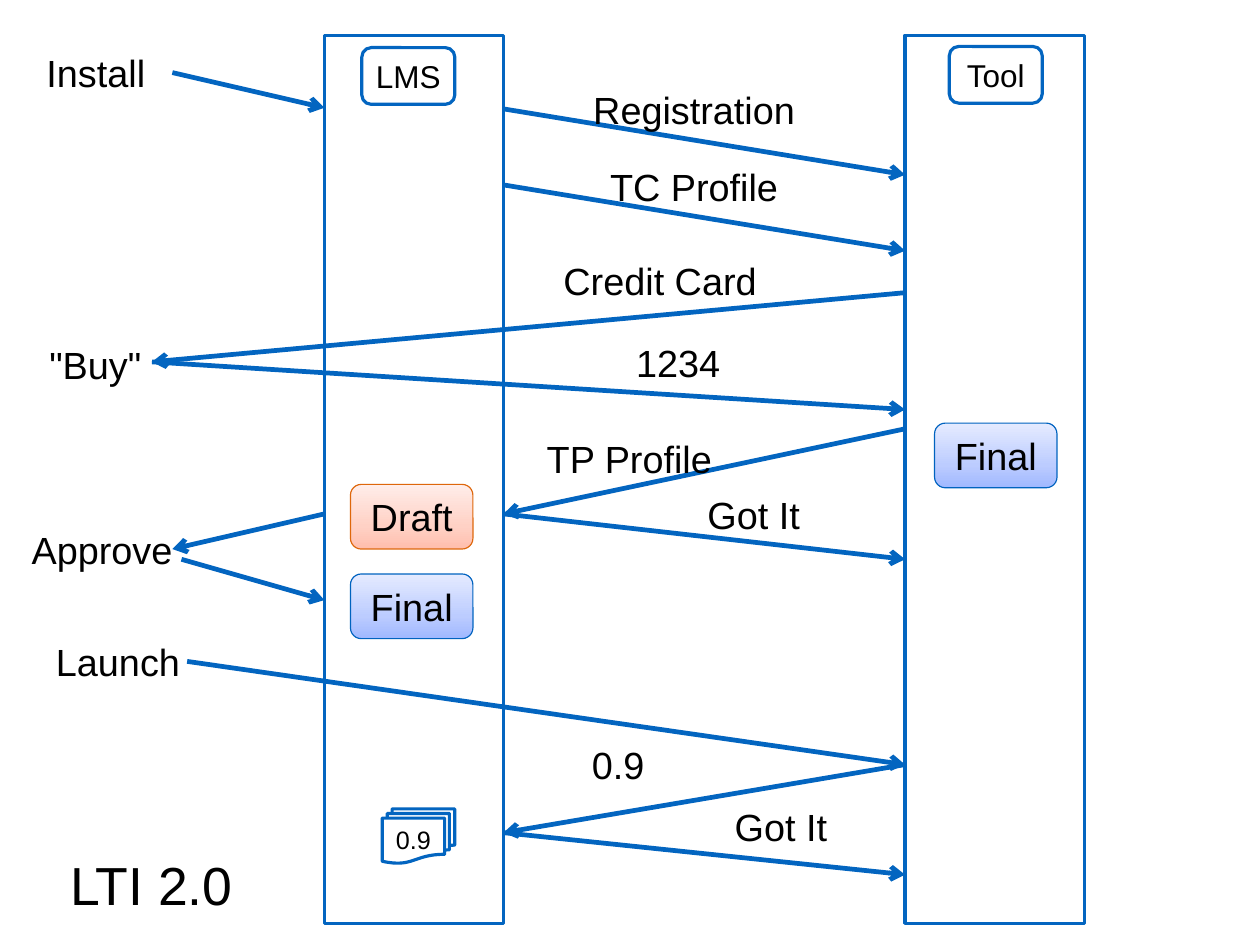
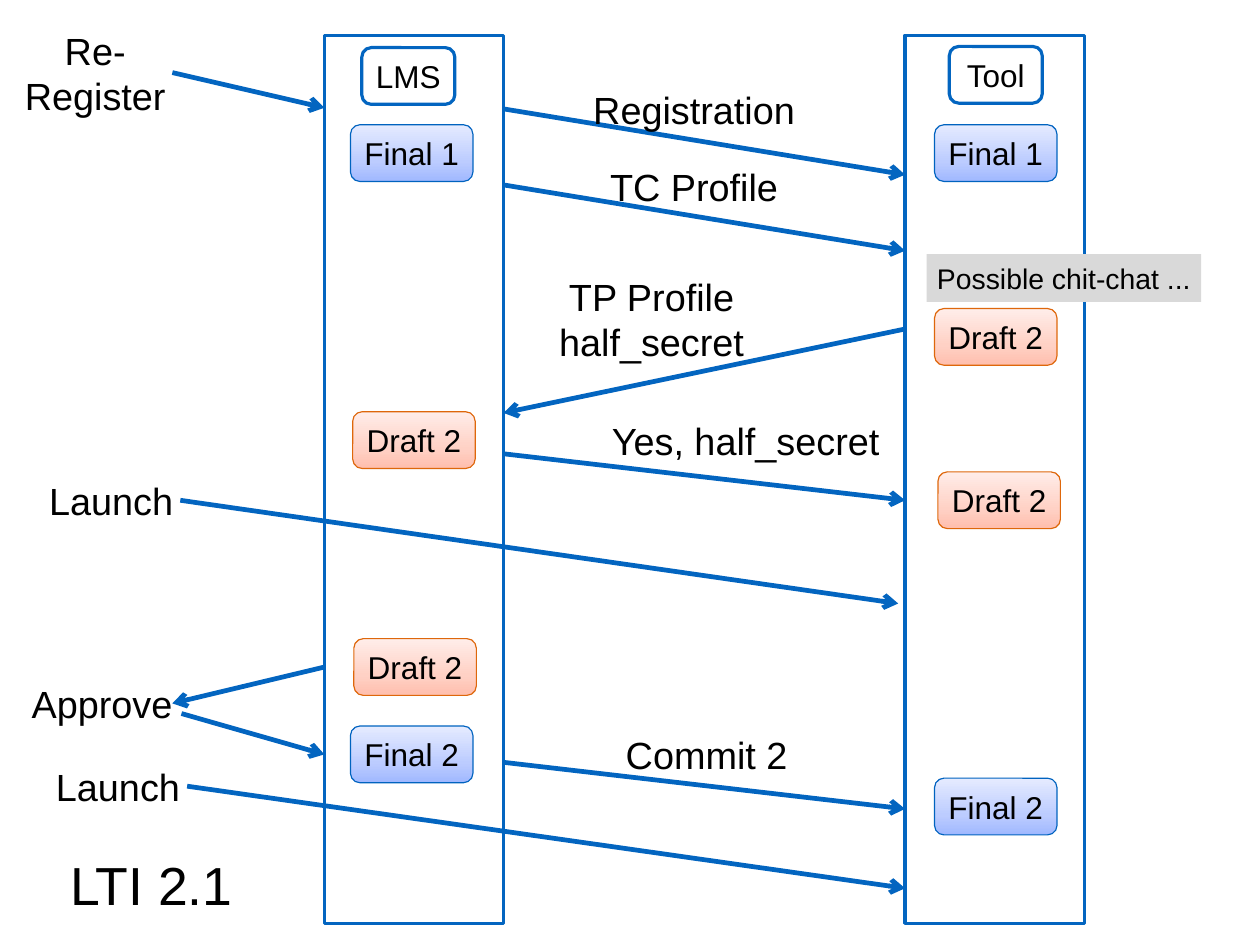
from dataclasses import dataclass
from typing import Optional

from lxml import etree
from pptx import Presentation
from pptx import util as u
from pptx.dml import color
from pptx.enum import shapes, text
from pptx.oxml import ns

COLORS = {
    "white": "FFFFFF",
    "black": "000000",
    "blue": "0365C0",
    "grey": "D9D9D9",
    "final_line": "0063BF",
    "draft_line": "DE670B",
}
GRADIENTS = {
    "final": {0: "A0B8FF", 35: "BCCCFF", 100: "E5EBFF"},
    "draft": {0: "FFBEAD", 35: "FFD1C5", 100: "FFEDE9"},
}
FONT = "Arial"
RECT = shapes.MSO_SHAPE.RECTANGLE
ROUND = shapes.MSO_SHAPE.ROUNDED_RECTANGLE
DOCUMENTS = shapes.MSO_SHAPE.FLOWCHART_MULTIDOCUMENT

LANE_TOP, LANE_W, LANE_H = 0.31, 1.58, 7.83
LMS_LEFT, TOOL_LEFT = 2.86, 7.98
LMS_RIGHT = LMS_LEFT + LANE_W
USER_X = 1.52
BUY = (1.34, 3.19)
LABEL_H, TWO_LINE_H, STATE_W = 0.52, 0.92, 1.08
SIDE_MARGIN, END_MARGIN = 0.05, 0.06


@dataclass(frozen=True)
class Arrow:
    start: tuple[float, float]
    end: tuple[float, float]


@dataclass(frozen=True)
class Label:
    text: str
    left: float
    top: float
    width: float
    height: float = LABEL_H
    size: int = 24
    arrow_to: Optional[tuple[float, float]] = None


@dataclass(frozen=True)
class Box:
    text: str
    left: float
    top: float
    width: float
    height: float
    size: int = 20
    kind: shapes.MSO_SHAPE = ROUND
    fill: str = "white"
    line: Optional[str] = "blue"
    line_width: float = 2
    wrap: bool = True


@dataclass(frozen=True)
class Diagram:
    arrows: list[Arrow]
    labels: list[Label]
    boxes: list[Box]


def state(name: str, left: float, top: float, height: float = 0.5, size: int = 20) -> Box:
    style = name.split()[0].lower()
    return Box(name, left, top, STATE_W, height, size,
               fill=style, line=f"{style}_line", line_width=0.75)


def rgb(name: str) -> color.RGBColor:
    return color.RGBColor.from_string(COLORS[name])


def set_gradient(sp, stops: dict[int, str]) -> None:
    sp.fill.gradient()
    sp.fill.gradient_angle = 90
    gs_list = sp.element.spPr.find(".//" + ns.qn("a:gsLst"))
    for gs in list(gs_list):
        gs_list.remove(gs)
    for percent, value in stops.items():
        gs = etree.SubElement(gs_list, ns.qn("a:gs"), pos=str(percent * 1000))
        etree.SubElement(gs, ns.qn("a:srgbClr"), val=value)


def write(sp, content: str, size: int, wrap: bool) -> None:
    tf = sp.text_frame
    tf.word_wrap = wrap
    tf.auto_size = text.MSO_AUTO_SIZE.SHAPE_TO_FIT_TEXT
    tf.vertical_anchor = text.MSO_ANCHOR.MIDDLE
    tf.margin_left = tf.margin_right = u.Inches(SIDE_MARGIN)
    tf.margin_top = tf.margin_bottom = u.Inches(END_MARGIN)
    for i, line in enumerate(content.split("\n")):
        p = tf.add_paragraph() if i else tf.paragraphs[0]
        p.alignment = text.PP_ALIGN.CENTER
        r = p.add_run()
        r.text = line
        r.font.name = FONT
        r.font.size = u.Pt(size)
        r.font.color.rgb = rgb("black")


def draw_box(slide, box: Box) -> None:
    sp = slide.shapes.add_shape(box.kind, u.Inches(box.left), u.Inches(box.top),
                                u.Inches(box.width), u.Inches(box.height))
    sp.shadow.inherit = False
    if box.fill in GRADIENTS:
        set_gradient(sp, GRADIENTS[box.fill])
    else:
        sp.fill.solid()
        sp.fill.fore_color.rgb = rgb(box.fill)
    if box.line:
        sp.line.color.rgb = rgb(box.line)
        sp.line.width = u.Pt(box.line_width)
    else:
        sp.line.fill.background()
    if box.text:
        write(sp, box.text, box.size, box.wrap)


def draw_arrow(slide, arrow: Arrow):
    cx = slide.shapes.add_connector(
        shapes.MSO_CONNECTOR.STRAIGHT, *(u.Inches(v) for v in arrow.start + arrow.end))
    cx.line.color.rgb = rgb("blue")
    cx.line.width = u.Pt(3)
    sp_pr = cx.element.spPr
    etree.SubElement(sp_pr.find(ns.qn("a:ln")), ns.qn("a:tailEnd"), type="arrow")
    etree.SubElement(sp_pr, ns.qn("a:effectLst"))
    return cx


def draw_label(slide, label: Label) -> None:
    sp = slide.shapes.add_textbox(u.Inches(label.left), u.Inches(label.top),
                                  u.Inches(label.width), u.Inches(label.height))
    write(sp, label.text, label.size, wrap=False)
    if label.arrow_to:
        start = (label.left + label.width, label.top + label.height / 2)
        draw_arrow(slide, Arrow(start, label.arrow_to)).begin_connect(sp, 3)


def draw_diagram(slide, diagram: Diagram) -> None:
    for left in (LMS_LEFT, TOOL_LEFT):
        draw_box(slide, Box("", left, LANE_TOP, LANE_W, LANE_H, kind=RECT))
    for arrow in SHARED.arrows + diagram.arrows:
        draw_arrow(slide, arrow)
    for label in SHARED.labels + diagram.labels:
        draw_label(slide, label)
    for box in SHARED.boxes + diagram.boxes:
        draw_box(slide, box)


def title(content: str) -> Label:
    return Label(content, 0.55, 7.45, 1.57, 0.68, 34)


SHARED = Diagram(
    arrows=[
        Arrow((LMS_RIGHT, 0.96), (TOOL_LEFT, 1.54)),
        Arrow((LMS_RIGHT, 1.63), (TOOL_LEFT, 2.21)),
    ],
    labels=[
        Label("Registration", 5.16, 0.7, 1.92),
        Label("TC Profile", 5.32, 1.38, 1.6),
    ],
    boxes=[
        Box("Tool", 8.37, 0.41, 0.82, 0.5),
        Box("LMS", 3.19, 0.42, 0.82, 0.5),
    ],
)

LTI_20 = Diagram(
    arrows=[
        Arrow((USER_X, 0.64), (LMS_LEFT, 0.95)),
        Arrow((TOOL_LEFT, 2.58), BUY),
        Arrow(BUY, (TOOL_LEFT, 3.61)),
        Arrow((TOOL_LEFT, 3.78), (LMS_RIGHT, 4.53)),
        Arrow((LMS_RIGHT, 4.53), (TOOL_LEFT, 4.93)),
        Arrow((LMS_LEFT, 4.53), (USER_X, 4.84)),
        Arrow((1.6, 4.93), (LMS_LEFT, 5.29)),
        Arrow((TOOL_LEFT, 6.74), (LMS_RIGHT, 7.34)),
        Arrow((LMS_RIGHT, 7.34), (TOOL_LEFT, 7.71)),
    ],
    labels=[
        Label("Install", 0.35, 0.38, 0.99),
        Label("Credit Card", 4.89, 2.21, 1.86),
        Label("1234", 5.55, 2.93, 0.86),
        Label("TP Profile", 4.75, 3.78, 1.6),
        Label('"Buy"', 0.35, 2.95, 0.98),
        Label("Got It", 6.17, 4.27, 0.95),
        Label("Approve", 0.2, 4.58, 1.4),
        Label("Launch", 0.43, 5.57, 1.22, arrow_to=(TOOL_LEFT, 6.74)),
        Label("0.9", 5.16, 6.48, 0.58),
        Label("Got It", 6.41, 7.02, 0.95),
        title("LTI 2.0"),
    ],
    boxes=[
        state("Draft", 3.09, 4.27, 0.57, 24),
        state("Final", 3.09, 5.06, 0.57, 24),
        state("Final", 8.24, 3.73, 0.57, 24),
        Box("0.9", 3.37, 7.13, 0.64, 0.48, 16, DOCUMENTS),
    ],
)

LTI_21 = Diagram(
    arrows=[
        Arrow((TOOL_LEFT, 2.9), (LMS_RIGHT, 3.64)),
        Arrow((LMS_RIGHT, 4), (TOOL_LEFT, 4.41)),
        Arrow((LMS_LEFT, 5.88), (USER_X, 6.2)),
        Arrow((1.6, 6.29), (LMS_LEFT, 6.65)),
        Arrow((LMS_RIGHT, 6.72), (TOOL_LEFT, 7.13)),
    ],
    labels=[
        Label("Re-\nRegister", 0.16, 0.18, 1.36, TWO_LINE_H, arrow_to=(LMS_LEFT, 0.95)),
        Label("TP Profile\nhalf_secret", 4.87, 2.35, 1.75, TWO_LINE_H),
        Label("Yes, half_secret", 5.32, 3.62, 2.51),
        Label("Launch", 0.37, 4.15, 1.22, arrow_to=(7.92, 5.32)),
        Label("Approve", 0.2, 5.94, 1.4),
        Label("Launch", 0.43, 6.67, 1.22, arrow_to=(TOOL_LEFT, 7.83)),
        Label("Commit 2", 5.44, 6.39, 1.58),
        title("LTI 2.1"),
    ],
    boxes=[
        state("Final 1", 8.24, 1.1),
        state("Final 1", 3.09, 1.1),
        Box("Possible chit-chat ...", 8.17, 2.24, 2.42, 0.42, 18, RECT,
            fill="grey", line=None, wrap=False),
        state("Draft 2", 8.24, 2.72),
        state("Draft 2", 3.11, 3.63),
        state("Draft 2", 8.27, 4.16),
        state("Draft 2", 3.12, 5.63),
        state("Final 2", 3.09, 6.4),
        state("Final 2", 8.24, 6.86),
    ],
)


def main() -> None:
    prs = Presentation()
    prs.slide_width = u.Inches(11.11)
    prs.slide_height = u.Inches(8.33)
    for diagram in (LTI_20, LTI_21):
        draw_diagram(prs.slides.add_slide(prs.slide_layouts[6]), diagram)
    prs.save("out.pptx")


if __name__ == "__main__":
    main()
